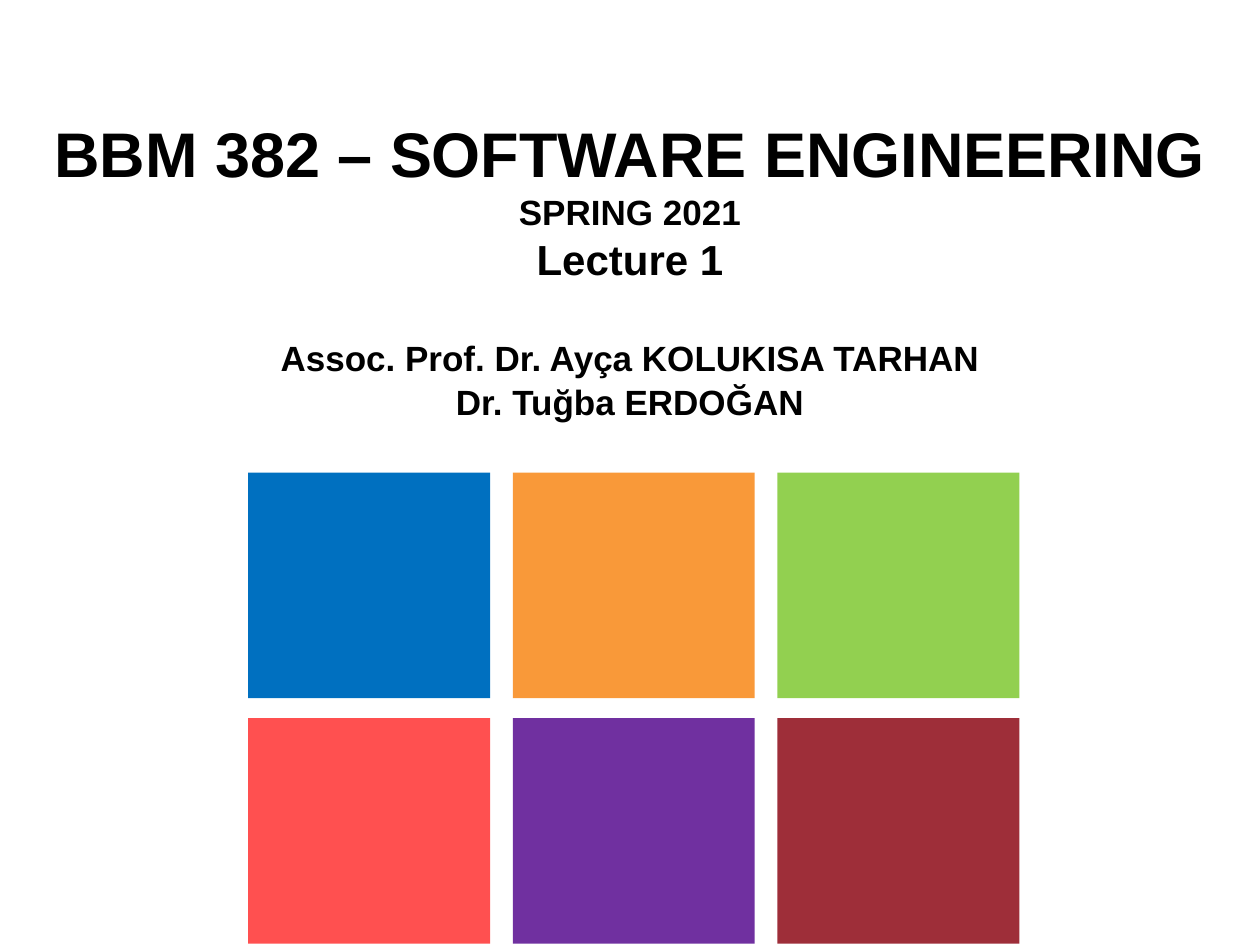
from pptx import Presentation
from pptx.dml.color import RGBColor
from pptx.enum.shapes import MSO_SHAPE
from pptx.enum.text import MSO_ANCHOR, PP_ALIGN
from pptx.util import Inches, Pt

# text, size, space before (points)
HEADING = [
    ("BBM 382 – SOFTWARE ENGINEERING", 36, 0),
    ("SPRING 2021", 20, 0),
    ("Lecture 1", 24, 1),
    ("Assoc. Prof. Dr. Ayça KOLUKISA TARHAN", 20, 30),
    ("Dr. Tuğba ERDOĞAN", 20, 1),
]
TILES = [
    ["0070C0", "F99939", "92D050"],
    ["FF5050", "7030A0", "9E2E39"],
]


def color(hex_string):
    return RGBColor.from_string(hex_string)


def add_heading(s, x, y, w, h):
    tf = s.shapes.add_textbox(Inches(x), Inches(y), Inches(w), Inches(h)).text_frame
    tf.word_wrap = True
    tf.vertical_anchor = MSO_ANCHOR.TOP
    tf.margin_top = Inches(0.16)
    for i, (text, size, before) in enumerate(HEADING):
        p = tf.paragraphs[0] if i == 0 else tf.add_paragraph()
        p.text = text
        p.alignment = PP_ALIGN.CENTER
        p.space_before = Pt(before)
        p.font.name = "Arial"
        p.font.size = Pt(size)
        p.font.bold = True
        p.font.color.rgb = color("000000")


def add_tiles(s, x, y, w, h, gap_x=0.18, gap_y=0.16):
    """Fill the box with an even grid of coloured tiles."""
    rows, cols = len(TILES), len(TILES[0])
    tile_w = (w - gap_x * (cols - 1)) / cols
    tile_h = (h - gap_y * (rows - 1)) / rows
    for row, fills in enumerate(TILES):
        for col, fill in enumerate(fills):
            sp = s.shapes.add_shape(
                MSO_SHAPE.RECTANGLE,
                Inches(x + col * (tile_w + gap_x)),
                Inches(y + row * (tile_h + gap_y)),
                Inches(tile_w), Inches(tile_h))
            sp.shadow.inherit = False
            sp.fill.solid()
            sp.fill.fore_color.rgb = color(fill)
            sp.line.fill.background()


def main():
    prs = Presentation()
    prs.slide_width, prs.slide_height = Inches(10), Inches(7.5)
    s = prs.slides.add_slide(prs.slide_layouts[6])
    s.background.fill.solid()
    s.background.fill.fore_color.rgb = color("FFFFFF")
    add_tiles(s, 1.97, 3.75, 6.12, 3.74)
    add_heading(s, 0, 0.75, 10, 2.94)
    prs.save("out.pptx")


if __name__ == "__main__":
    main()
